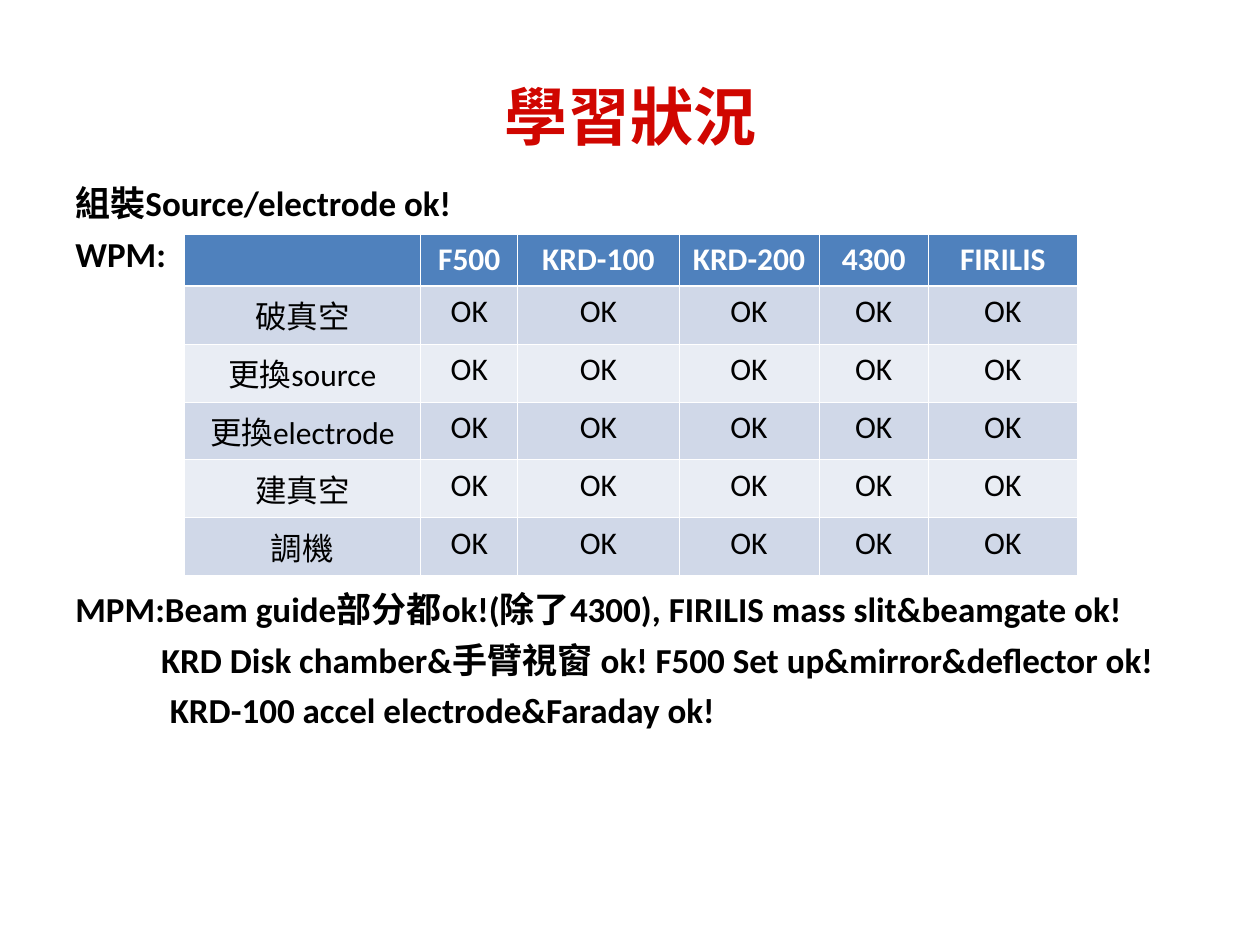
import pptx
import pptx.util
import pptx.dml.color
import pptx.enum.text
import pptx.oxml.ns
from lxml import etree

Inches = pptx.util.Inches
Pt = pptx.util.Pt
ALIGN = pptx.enum.text.PP_ALIGN
ANCHOR = pptx.enum.text.MSO_ANCHOR

MACHINES = ["F500", "KRD-100", "KRD-200", "4300", "FIRILIS"]
TASKS = ["破真空", "更換source", "更換electrode", "建真空", "調機"]
COLUMN_WIDTHS = [1.88, 0.77, 1.28, 1.11, 0.87, 1.18]
ROW_HEIGHTS = [0.41] + [0.46] * len(TASKS)

NOTES = [
    ("組裝Source/electrode ok!", 0, 0),
    ("WPM:", 5, 0),
    ("MPM:Beam guide部分都ok!(除了4300), FIRILIS mass slit&beamgate ok!", 179, 0),
    ("KRD Disk chamber&手臂視窗 ok! F500 Set up&mirror&deflector ok!", 5, 0.68),
    ("KRD-100 accel electrode&Faraday ok!", 5, 0.75),
]


def color(value):
    return pptx.dml.color.RGBColor.from_string(value)


class StatusSlide:
    font_name = "Calibri"
    title_color = "D00600"
    text_color = "000000"
    line_color = "FFFFFF"
    header_fill = "4F81BD"
    band_fills = ["D0D8E8", "E9EDF4"]

    def __init__(self, presentation):
        self.slide = presentation.slides.add_slide(presentation.slide_layouts[5])

    def format_paragraph(self, paragraph, size, hex_color, bold, alignment):
        paragraph.alignment = alignment
        for font in [paragraph.font] + [run.font for run in paragraph.runs]:
            font.name = self.font_name
            font.size = Pt(size)
            font.bold = bold
            font.color.rgb = color(hex_color)

    def title(self, text, left, top, width, height):
        shape = self.slide.shapes.title
        shape.left, shape.top = Inches(left), Inches(top)
        shape.width, shape.height = Inches(width), Inches(height)
        shape.text_frame.text = text
        shape.text_frame.vertical_anchor = ANCHOR.MIDDLE
        self.format_paragraph(shape.text_frame.paragraphs[0], 36, self.title_color, True, ALIGN.CENTER)

    def notes(self, lines, left, top, width, height):
        shape = self.slide.shapes.add_textbox(Inches(left), Inches(top), Inches(width), Inches(height))
        frame = shape.text_frame
        frame.word_wrap = True
        frame.text = "\n".join(text for text, _, _ in lines)
        for paragraph, (_, space, indent) in zip(frame.paragraphs, lines):
            if space:
                paragraph.space_before = Pt(space)
            if indent:
                paragraph._p.get_or_add_pPr().set("marL", str(Inches(indent)))
            self.format_paragraph(paragraph, 20, self.text_color, True, ALIGN.LEFT)

    def border(self, cell, side, width):
        qn = pptx.oxml.ns.qn
        line = etree.SubElement(cell._tc.get_or_add_tcPr(), qn(f"a:ln{side}"), w=str(Pt(width)))
        fill = etree.SubElement(line, qn("a:solidFill"))
        etree.SubElement(fill, qn("a:srgbClr"), val=self.line_color)

    def table(self, rows, left, top):
        frame = self.slide.shapes.add_table(
            len(rows), len(rows[0]), Inches(left), Inches(top),
            Inches(sum(COLUMN_WIDTHS)), Inches(sum(ROW_HEIGHTS)))
        table = frame.table
        for column, width in zip(table.columns, COLUMN_WIDTHS):
            column.width = Inches(width)
        for row, height in zip(table.rows, ROW_HEIGHTS):
            row.height = Inches(height)
        for row_index, values in enumerate(rows):
            for column_index, text in enumerate(values):
                self.cell(table.cell(row_index, column_index), text, row_index)

    def cell(self, cell, text, row_index):
        header = row_index == 0
        cell.text_frame.text = text
        text_color = self.line_color if header else self.text_color
        self.format_paragraph(cell.text_frame.paragraphs[0], 18, text_color, header, ALIGN.CENTER)
        thick_sides = {0: "B", 1: "T"}
        for side in "LRTB":
            self.border(cell, side, 1.47 if thick_sides.get(row_index) == side else 0.45)
        cell.fill.solid()
        cell.fill.fore_color.rgb = color(
            self.header_fill if header else self.band_fills[(row_index - 1) % 2])


def main():
    presentation = pptx.Presentation()
    presentation.slide_width, presentation.slide_height = Inches(10), Inches(7.5)
    slide = StatusSlide(presentation)
    slide.title("學習狀況", 0.5, 0.29, 9, 1.25)
    slide.notes(NOTES, 0.5, 1.39, 9, 4.95)
    rows = [[""] + MACHINES] + [[task] + ["OK"] * len(MACHINES) for task in TASKS]
    slide.table(rows, 1.46, 1.86)
    presentation.save("out.pptx")


if __name__ == "__main__":
    main()
